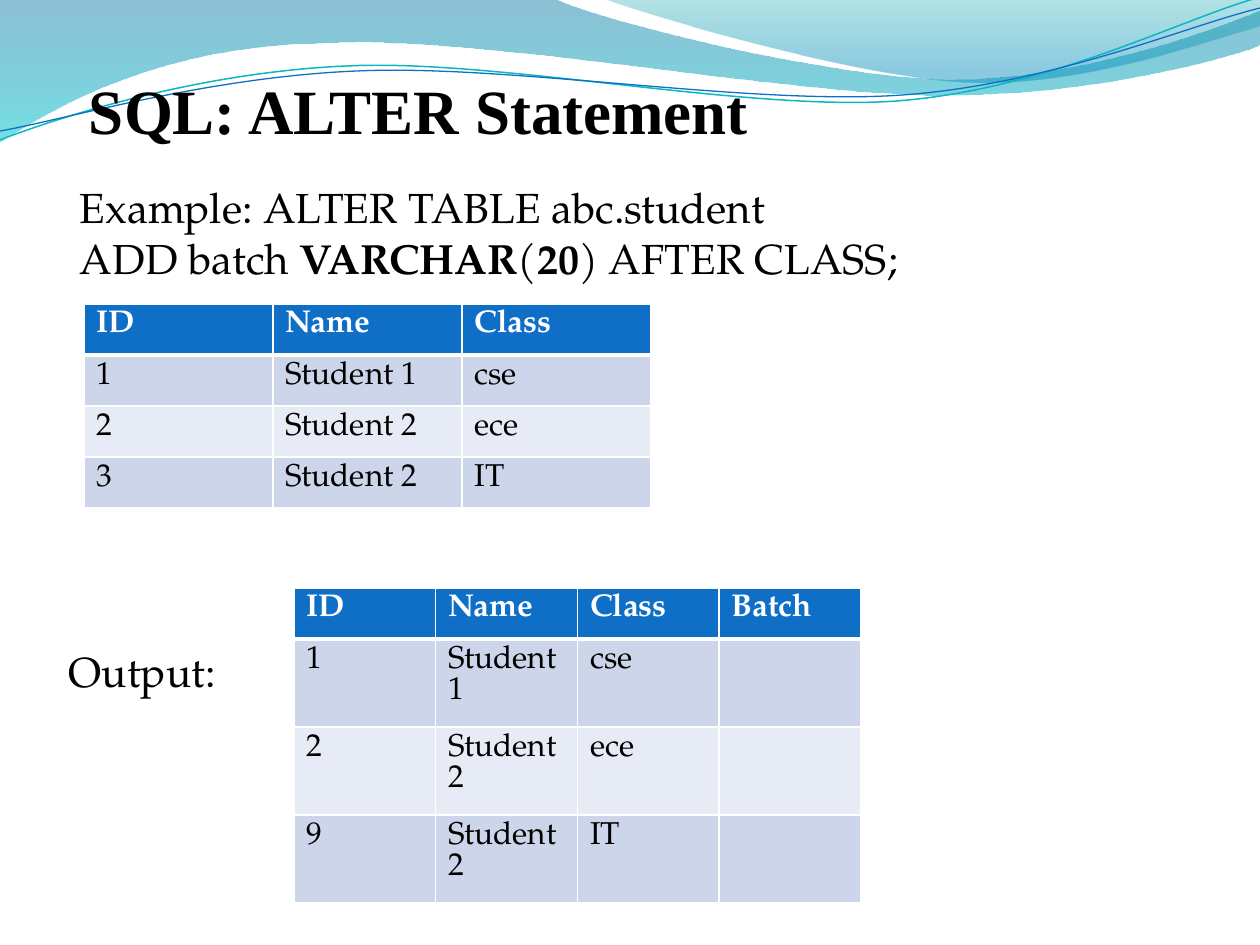
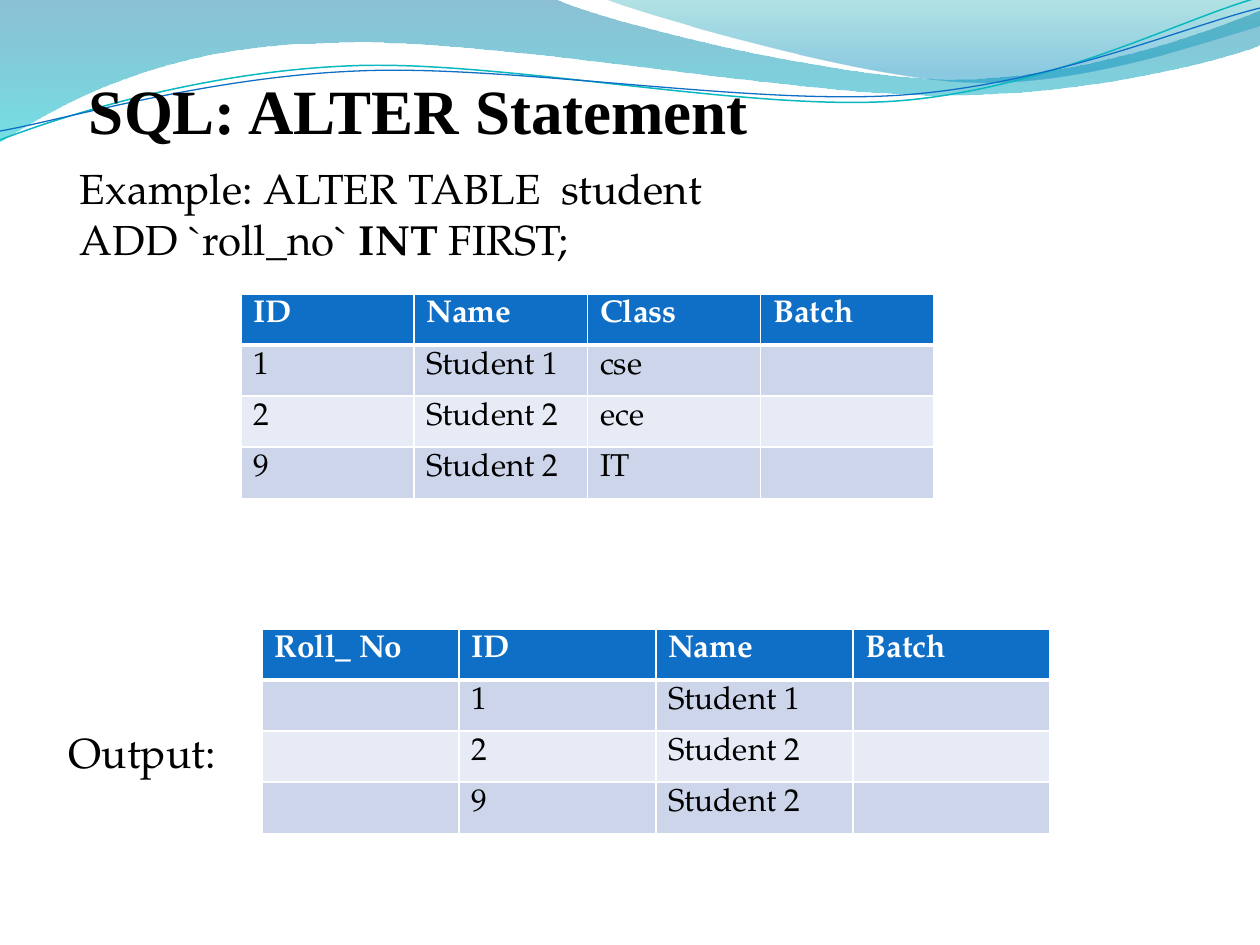
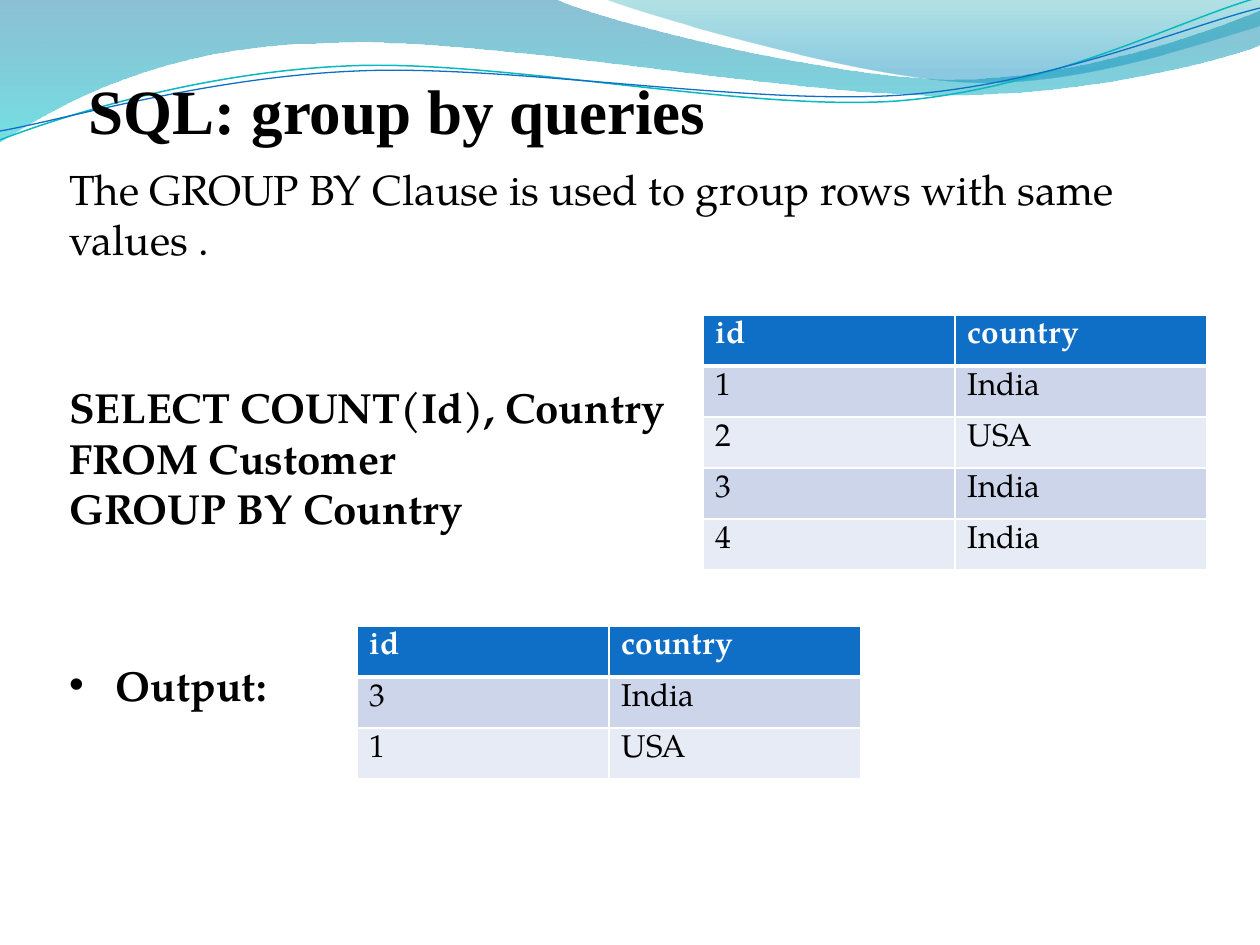
"""Builds three slides on SQL ALTER and GROUP BY statements."""
from math import cos, radians, sin
from lxml import etree
from pptx import Presentation
from pptx.dml.color import RGBColor
from pptx.enum.text import MSO_ANCHOR, MSO_AUTO_SIZE
from pptx.oxml.ns import qn
from pptx.util import Pt

TOP = MSO_ANCHOR.TOP
NO_FIT = MSO_AUTO_SIZE.NONE
SCALE = 914400 / 126
TILT = 2.7
ROW = 51
SERIF = "TeX Gyre Pagella"
TITLE = "Times New Roman"
COLORS = {
    "ink": "000000", "white": "FFFFFF", "head": "0F6FC6",
    "odd": "CCD5EA", "even": "E7EBF5", "teal": "0AB8BF",
    "deep": "0074A1", "aqua": "00C6CF", "sea": "00A1A9", "sky": "008BBF",
}
WIDE = [(0, 0), (555, -1), (600, 21, 837, 79, 955, 79),
        (1074, 79, 1207, 33, 1260, 11), (1261, 45),
        (1239, 55, 1096, 96, 940, 95), (783, 95, 481, 35, 324, 43),
        (163, 45, 58, 105, -1, 142), (0, 0)]
SMALL = [(604, -1), (641, 14, 859, 78, 969, 82),
         (1079, 87, 1211, 40, 1260, 26), (1260, 0), (604, -1)]
UPPER = [(0, 140), (60, 117, 199, 72, 349, 66),
         (498, 59, 747, 112, 898, 101), (1049, 89, 1182, 19, 1257, -2)]
LOWER = [(0, 131), (59, 121, 207, 77, 357, 71),
         (508, 64, 752, 106, 903, 95), (1053, 84, 1186, 26, 1260, 8)]


def px(num):
    """Turn px into EMU."""
    return round(num * SCALE)


def rgb(name):
    """Look up a named colour."""
    return RGBColor.from_string(COLORS[name])


def turn(path, mid, angle):
    """Rotate every point of a path clockwise around a middle point."""
    c, s = cos(radians(angle)), sin(radians(angle))
    done = []
    for step in path:
        spots = []
        for x, y in zip(step[::2], step[1::2]):
            dx, dy = x - mid[0], y - mid[1]
            spots += [mid[0] + dx * c - dy * s, mid[1] + dx * s + dy * c]
        done.append(tuple(spots))
    return done


def outline(slide, path, close):
    """Add a freeform of lines and true cubic curves without a shadow."""
    dots = [(px(x), px(y)) for step in path
            for x, y in zip(step[::2], step[1::2])]
    pen = slide.shapes.build_freeform(*dots[0])
    pen.add_line_segments(dots[1:], close=close)
    shape = pen.convert_to_shape()
    shape.shadow.inherit = False
    legs = iter(list(shape._element.iter(qn("a:lnTo"))))
    for step in path[1:]:
        leg = next(legs)
        if len(step) == 6:
            leg.tag = qn("a:cubicBezTo")
            for _ in range(2):
                spare = next(legs)
                leg.append(spare[0])
                spare.getparent().remove(spare)
    return shape


def band(slide, path, stops):
    """Add a filled wave with a see-through gradient from the top down."""
    shape = outline(slide, path, True)
    shape.line.fill.background()
    shape.fill.gradient()
    shape.fill.gradient_angle = 270
    for stop, (place, name, alpha) in zip(shape.fill.gradient_stops, stops):
        stop.position = place
        stop.color.rgb = rgb(name)
    marks = shape.fill._xPr.iter(qn("a:srgbClr"))
    for mark, (place, name, alpha) in zip(marks, stops):
        etree.SubElement(mark, qn("a:alpha"), val=str(alpha * 1000))


def strand(slide, path, mid, name, width):
    """Add a thin curved line, tilted around its middle."""
    shape = outline(slide, turn(path, mid, TILT), False)
    shape.rotation = 360 - TILT
    shape.fill.background()
    shape.line.color.rgb = rgb(name)
    shape.line.width = Pt(width)


def waves(slide):
    """Draw the shared wave header."""
    band(slide, WIDE, [(0, "deep", 45), (1, "aqua", 55)])
    band(slide, SMALL, [(0, "sea", 30), (0.8, "sky", 45)])
    strand(slide, UPPER, (629, 72), "teal", 0.85)
    strand(slide, LOWER, (629, 74), "head", 0.75)


def style(para, left=0, bullet=False, before=0, pitch=None):
    """Set the indent, bullet and spacing of a paragraph."""
    if left:
        props = para._p.get_or_add_pPr()
        props.set("marL", str(px(left)))
        props.set("indent", str(px(-left if bullet else 0)))
        if bullet:
            etree.SubElement(props, qn("a:buFont"), typeface="Arial")
            etree.SubElement(props, qn("a:buChar"), char="•")
    if before:
        para.space_before = Pt(before)
    if pitch:
        para.line_spacing = pitch


def write(frame, lines, size=24, font=SERIF, color="ink", bold=False):
    """Fill a frame with pairs of text and format; stars switch bold."""
    for i, (line, extra) in enumerate(lines):
        para = frame.add_paragraph() if i else frame.paragraphs[0]
        style(para, **extra)
        for j, part in enumerate(line.split("*")):
            if not part:
                continue
            run = para.add_run()
            run.text = part
            run.font.size = Pt(size)
            run.font.name = font
            run.font.bold = bold != (j % 2 == 1)
            run.font.color.rgb = rgb(color)


def label(slide, box, lines, right=11, **look):
    """Add a wrapped text box."""
    frame = slide.shapes.add_textbox(*map(px, box)).text_frame
    frame.word_wrap = True
    frame.auto_size = NO_FIT
    frame.vertical_anchor = TOP
    frame.margin_left, frame.margin_right = px(11), px(right)
    frame.margin_top = frame.margin_bottom = px(5)
    write(frame, lines, **look)


def edge(cell, row):
    """Give a cell white borders, thick under the head row."""
    props = cell._tc.get_or_add_tcPr()
    widths = {"L": 1, "R": 1, "T": 3 if row == 1 else 1,
              "B": 3 if row == 0 else 1}
    for side, width in widths.items():
        line = etree.SubElement(props, qn("a:ln" + side), w=str(Pt(width)))
        fill = etree.SubElement(line, qn("a:solidFill"))
        etree.SubElement(fill, qn("a:srgbClr"), val=COLORS["white"])


def grid(slide, left, top, width, rows, deep=ROW):
    """Add a table with a head row and striped rows of the given depth."""
    cols = len(rows[0])
    high = ROW + deep * (len(rows) - 1)
    table = slide.shapes.add_table(
        len(rows), cols, *map(px, (left, top, width, high))).table
    for col in table.columns:
        col.width = px(width / cols)
    for i, row in enumerate(rows):
        table.rows[i].height = px(deep if i else ROW)
        shade = ("odd" if i % 2 else "even") if i else "head"
        for j, value in enumerate(row):
            cell = table.cell(i, j)
            edge(cell, i)
            cell.fill.solid()
            cell.fill.fore_color.rgb = rgb(shade)
            write(cell.text_frame, [(value, {})], size=18, bold=i == 0,
                  color="ink" if i else "white")


def base(deck, title, width):
    """Add a blank slide with waves and a title."""
    slide = deck.slides.add_slide(deck.slide_layouts[6])
    waves(slide)
    label(slide, (78, 54, width, 91), [(title, {"pitch": 1.17})],
          size=36, font=TITLE, bold=True)
    return slide


def alter(deck, top, high, lines, gap):
    """Add an ALTER slide with its statement and the output line."""
    slide = base(deck, "SQL: ALTER Statement", 839)
    body = [(line, {"left": 11}) for line in lines]
    label(slide, (58, top, 1172, high),
          body + [("Output:", {"before": gap})])
    return slide


def group(deck):
    """Add the GROUP BY slide."""
    slide = base(deck, "SQL: group by queries", 994)
    label(slide, (58, 158, 1202, 524), [
        ("The GROUP BY Clause is used to group rows with same values .", {}),
        ("*SELECT COUNT(Id), Country*", {"before": 67.5}),
        ("*FROM Customer*", {}),
        ("*GROUP BY Country*", {}),
        ("*Output:*", {"before": 72, "left": 47, "bullet": True})], right=30)
    head = ("id", "country")
    grid(slide, 703, 315, 504, [
        head, ("1", "India"), ("2", "USA"), ("3", "India"), ("4", "India")])
    grid(slide, 357, 626, 504, [head, ("3", "India"), ("1", "USA")])


def main():
    """Build and save the deck."""
    deck = Presentation()
    deck.slide_width, deck.slide_height = px(1260), px(945)
    head = ("ID", "Name", "Class")
    pupils = [("1", "Student 1", "cse"), ("2", "Student 2", "ece"),
              ("9", "Student 2", "IT")]
    batch = [head + ("Batch",)] + [row + ("",) for row in pupils]
    rolls = [("Roll_ No", "ID", "Name", "Batch")]
    rolls += [("", key, name, "") for key, name, field in pupils]

    slide = alter(deck, 177, 381, [
        "Example: ALTER TABLE abc.student",
        "ADD batch *VARCHAR*(*20*) AFTER CLASS;"], 207)
    grid(slide, 84, 304, 567,
         [head] + pupils[:2] + [("3", "Student 2", "IT")])
    grid(slide, 294, 588, 567, batch, deep=88)

    slide = alter(deck, 158, 418, [
        "Example: ALTER TABLE  student",
        "ADD `roll_no` *INT* FIRST;"], 264.5)
    grid(slide, 241, 294, 693, batch)
    grid(slide, 262, 629, 788, rolls)

    group(deck)
    deck.save("out.pptx")


if __name__ == "__main__":
    main()
